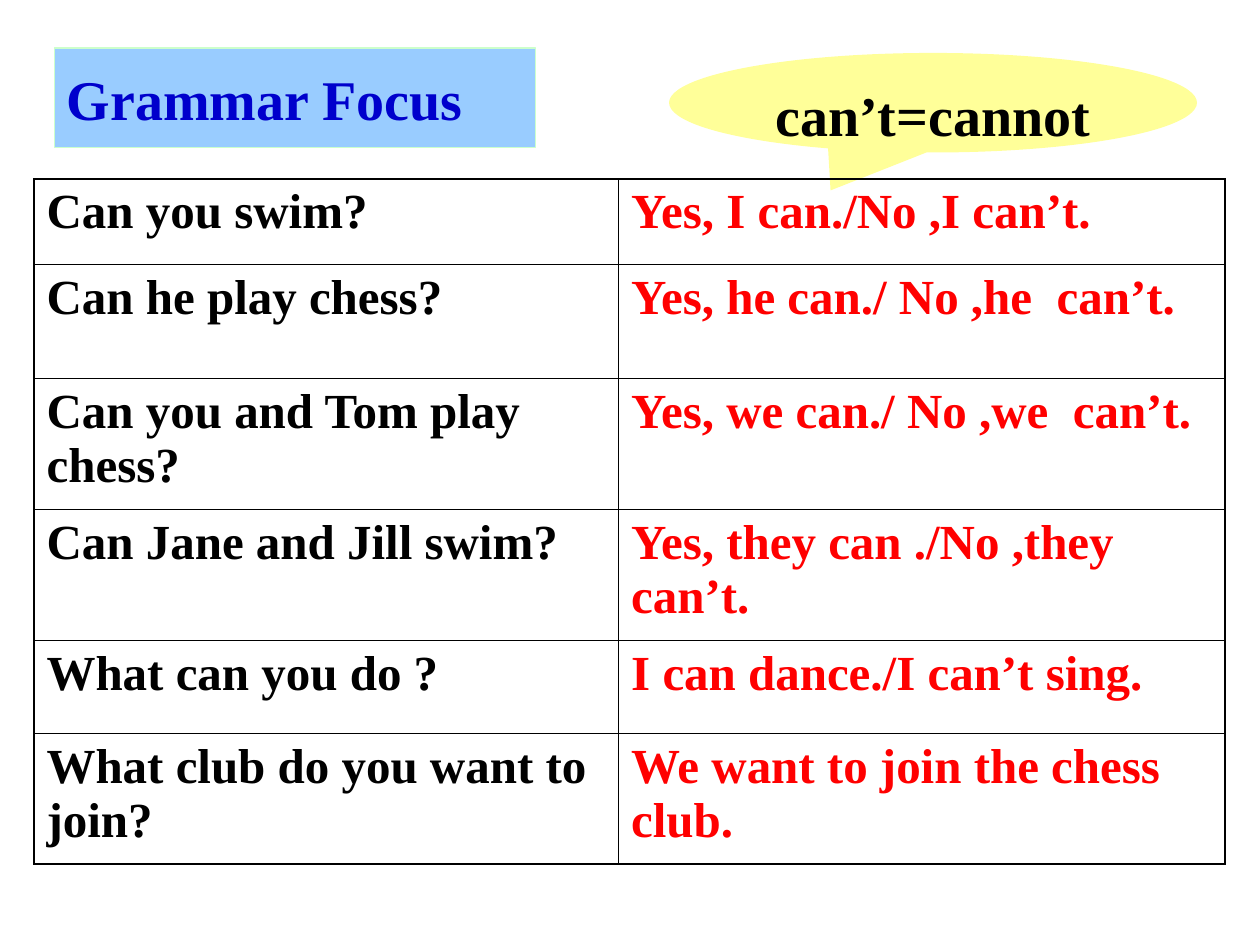
from dataclasses import dataclass

from lxml.etree import SubElement
from pptx import Presentation
from pptx.dml.color import RGBColor
from pptx.enum.shapes import MSO_SHAPE
from pptx.enum.text import MSO_ANCHOR, MSO_AUTO_SIZE, PP_ALIGN
from pptx.oxml.ns import qn
from pptx.util import Inches, Pt

BLACK = RGBColor(0x00, 0x00, 0x00)
RED = RGBColor(0xFF, 0x00, 0x00)
BLUE = RGBColor(0x00, 0x00, 0xCC)
SKY = RGBColor(0x99, 0xCC, 0xFF)
MINT = RGBColor(0xCC, 0xFF, 0xCC)
YELLOW = RGBColor(0xFF, 0xFF, 0x99)

FONT = {"name": "Times New Roman", "bold": True}
OUTER, INNER = Pt(1.08), Pt(0.45)
COLUMN_WIDTHS = (4.64, 4.81)


@dataclass(frozen=True)
class Exchange:
    question: str
    answer: str
    height: float


EXCHANGES = (
    Exchange("Can you swim?", "Yes, I can./No ,I can’t.", 0.68),
    Exchange("Can he play chess?", "Yes, he can./ No ,he  can’t.", 0.9),
    Exchange("Can you and Tom play chess?", "Yes, we can./ No ,we  can’t.", 1.04),
    Exchange("Can Jane and Jill swim?", "Yes, they can ./No ,they can’t.", 1.04),
    Exchange("What can you do ?", "I can dance./I can’t sing.", 0.74),
    Exchange("What club do you want to join?", "We want to join the chess club.", 1.04),
)


def write(tf, text: str, size: int, color: RGBColor, align=PP_ALIGN.LEFT) -> None:
    p = tf.paragraphs[0]
    p.alignment = align
    r = p.add_run()
    r.text = text
    for name, value in {**FONT, "size": Pt(size)}.items():
        setattr(r.font, name, value)
    r.font.color.rgb = color


def set_borders(cell, widths: dict[str, int]) -> None:
    tc_pr = cell._tc.get_or_add_tcPr()
    for side, width in widths.items():
        ln = SubElement(tc_pr, qn(f"a:ln{side}"), w=str(int(width)))
        fill = SubElement(ln, qn("a:solidFill"))
        SubElement(fill, qn("a:srgbClr"), val=str(BLACK))


def add_title(s) -> None:
    sp = s.shapes.title
    box = {"left": 0.43, "top": 0.38, "width": 3.82, "height": 0.79}
    for name, value in box.items():
        setattr(sp, name, Inches(value))
    sp.fill.solid()
    sp.fill.fore_color.rgb = SKY
    sp.line.color.rgb = MINT
    sp.line.width = Pt(0.75)
    tf = sp.text_frame
    tf.auto_size = MSO_AUTO_SIZE.NONE
    tf.vertical_anchor = MSO_ANCHOR.MIDDLE
    write(tf, "Grammar Focus", 32, BLUE)


def add_callout(s) -> None:
    sp = s.shapes.add_shape(
        MSO_SHAPE.OVAL_CALLOUT, Inches(5.31), Inches(0.42), Inches(4.19), Inches(0.79)
    )
    sp.adjustments[0] = -0.194
    sp.adjustments[1] = 0.881
    sp.shadow.inherit = False
    sp.fill.solid()
    sp.fill.fore_color.rgb = YELLOW
    sp.line.fill.background()
    tf = sp.text_frame
    tf.word_wrap = True
    tf.vertical_anchor = MSO_ANCHOR.TOP
    tf.margin_top = Inches(0.1)
    write(tf, "can’t=cannot", 32, BLACK, PP_ALIGN.CENTER)


def add_exchanges(s) -> None:
    last_row, last_col = len(EXCHANGES) - 1, len(COLUMN_WIDTHS) - 1
    table = s.shapes.add_table(
        len(EXCHANGES), len(COLUMN_WIDTHS), Inches(0.27), Inches(1.42),
        Inches(sum(COLUMN_WIDTHS)), Inches(sum(e.height for e in EXCHANGES)),
    ).table
    table.first_row = table.horz_banding = False
    for column, width in zip(table.columns, COLUMN_WIDTHS):
        column.width = Inches(width)
    for i, exchange in enumerate(EXCHANGES):
        table.rows[i].height = Inches(exchange.height)
        columns = ((exchange.question, BLACK), (exchange.answer, RED))
        for j, (text, color) in enumerate(columns):
            cell = table.cell(i, j)
            set_borders(cell, {
                "L": OUTER if j == 0 else INNER,
                "R": OUTER if j == last_col else INNER,
                "T": OUTER if i == 0 else INNER,
                "B": OUTER if i == last_row else INNER,
            })
            cell.fill.background()
            write(cell.text_frame, text, 28, color)


def main() -> None:
    prs = Presentation()
    prs.slide_width, prs.slide_height = Inches(10), Inches(7.5)
    s = prs.slides.add_slide(prs.slide_layouts.get_by_name("Title Only"))
    add_title(s)
    add_callout(s)
    add_exchanges(s)
    prs.save("out.pptx")


if __name__ == "__main__":
    main()
